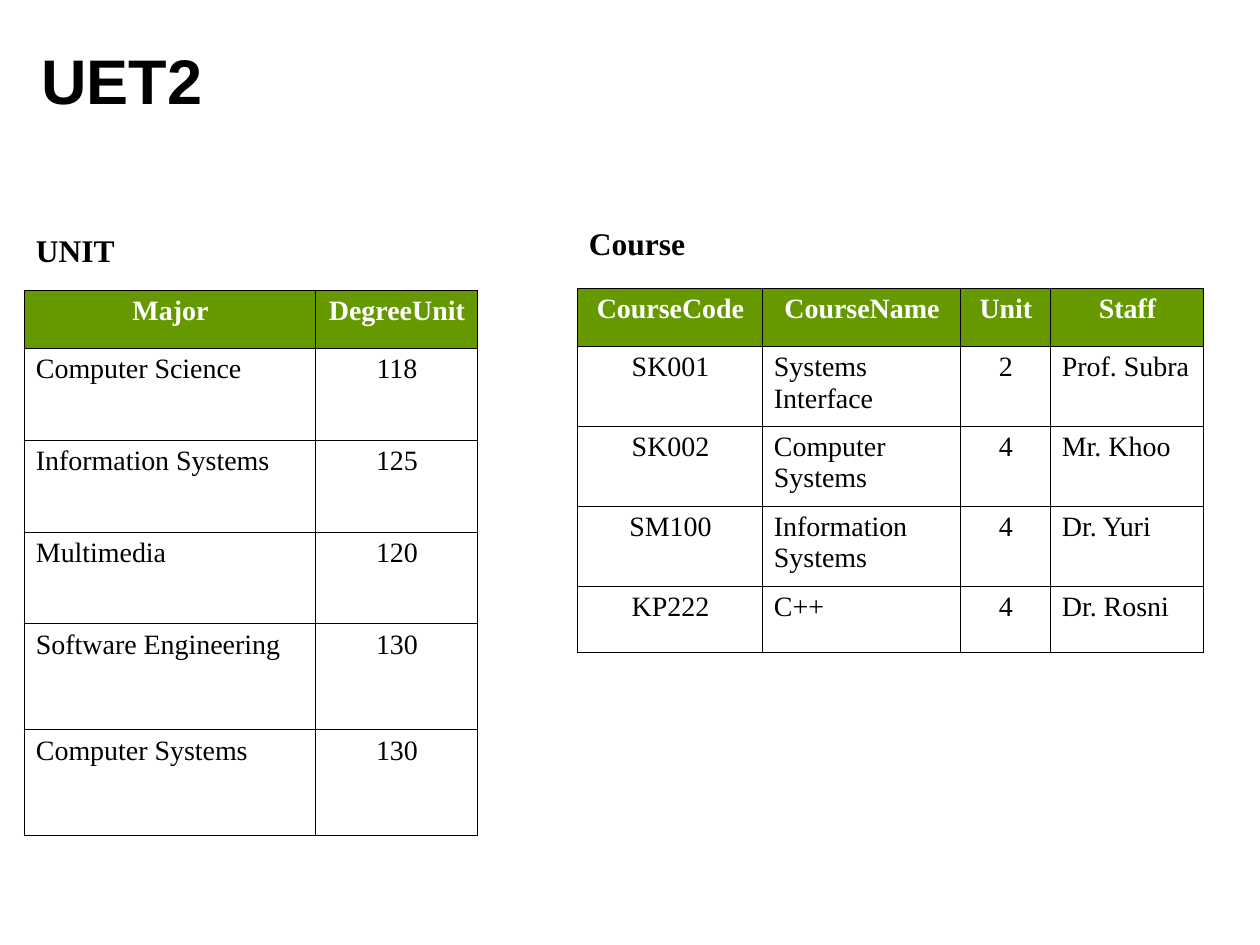
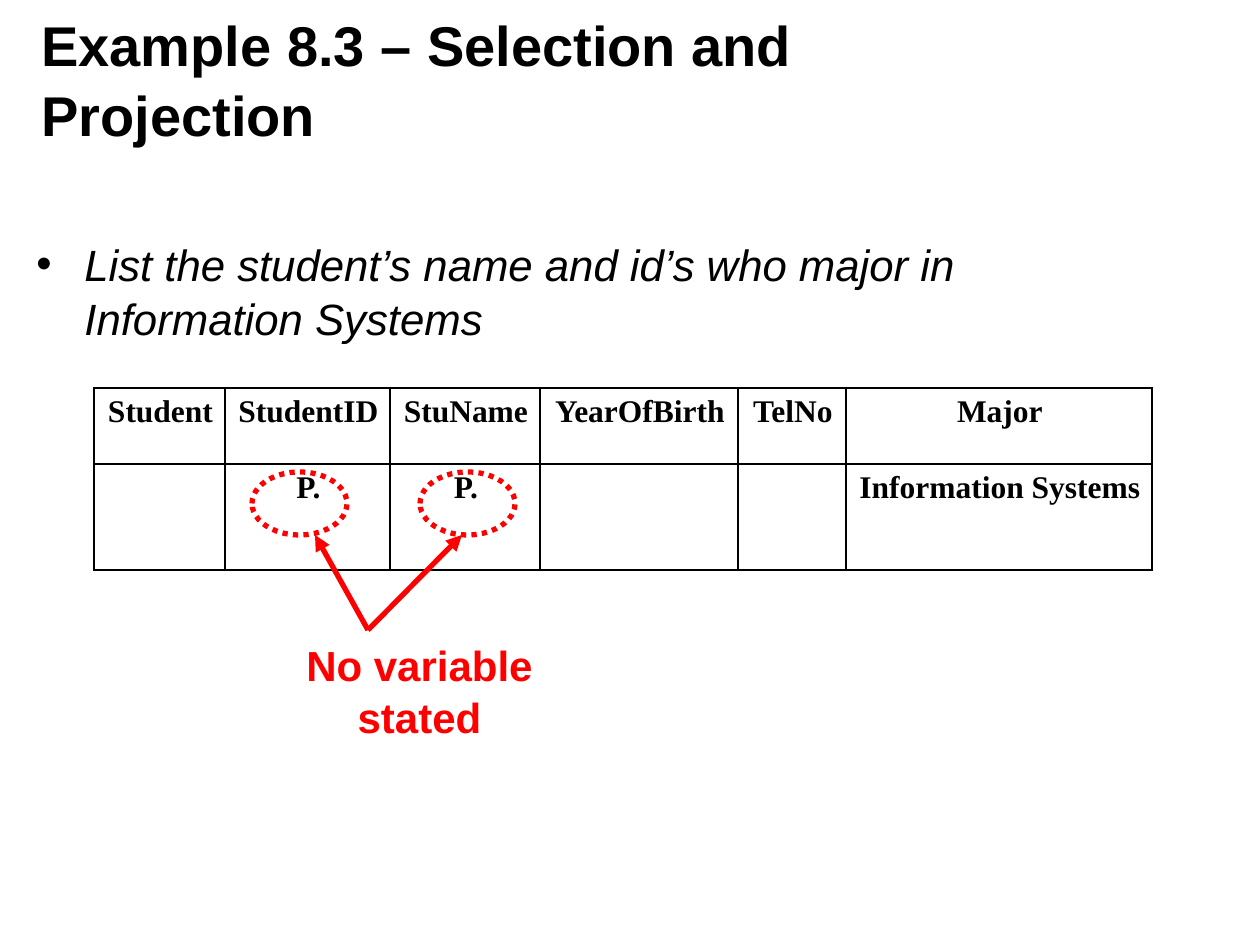
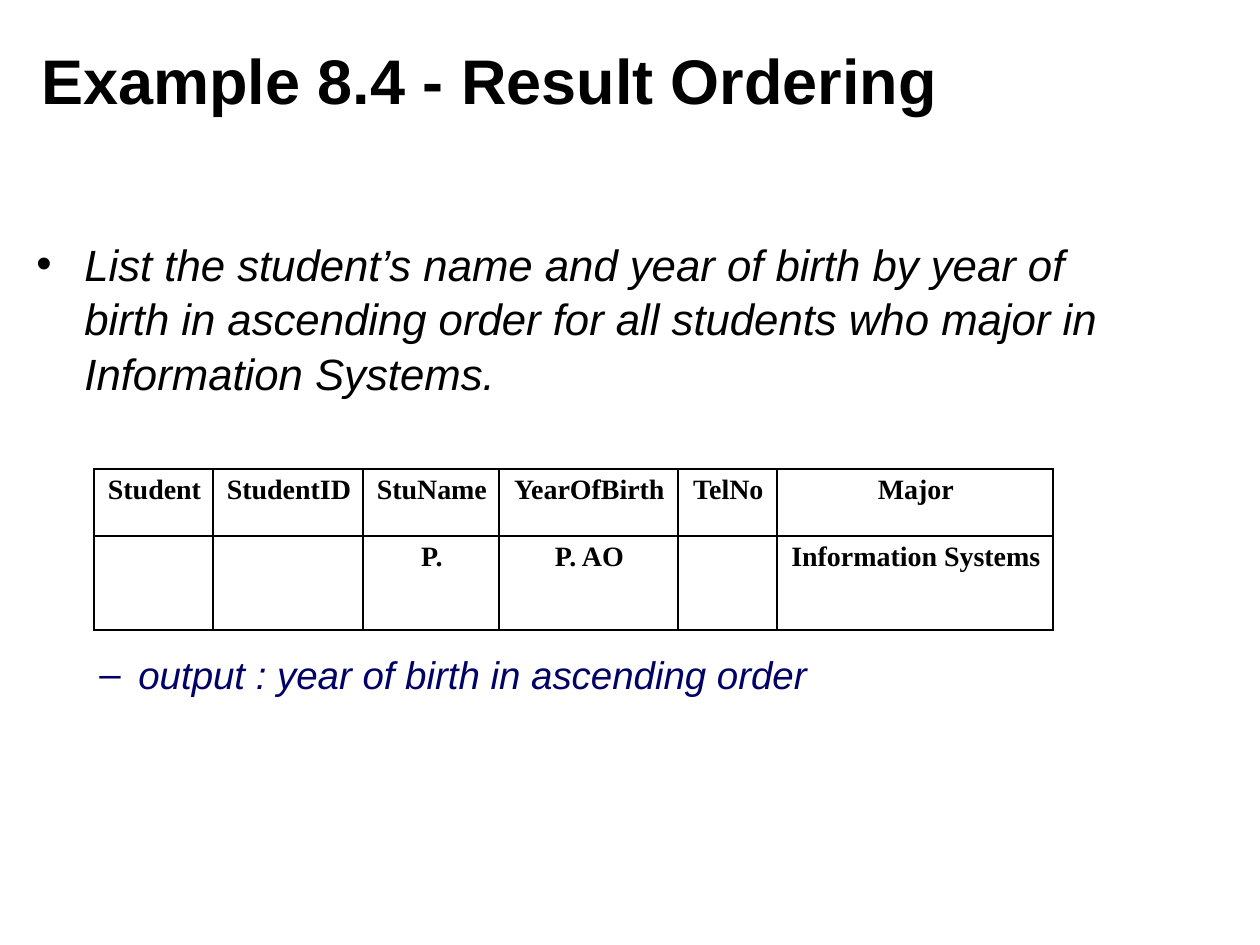
from lxml.etree import SubElement as sub
from pptx import Presentation
from pptx.dml.color import RGBColor as Rgb
from pptx.enum.dml import MSO_LINE
from pptx.enum.shapes import MSO_CONNECTOR, MSO_SHAPE
from pptx.enum.text import MSO_ANCHOR as Anchor, PP_ALIGN as Align
from pptx.oxml.ns import qn
from pptx.util import Pt

PX = 914400 / 126
INK = {"black": "000000", "white": "FFFFFF", "green": "669900",
       "red": "FF0000", "navy": "000066"}
SANS, SERIF = "Arial", "Times New Roman"
SIDES = {"l": "a:lnL", "r": "a:lnR", "t": "a:lnT", "b": "a:lnB"}
TITLE = (29, 19, 1012, 117)
FIELDS = ["Student", "StudentID", "StuName", "YearOfBirth", "TelNo", "Major"]


def px(*vals):
    return [round(val * PX) for val in vals]


def color(name):
    return Rgb.from_string(INK[name])


def style(para, size, ink="black", face=SANS, bold=False, italic=False):
    font = para.font
    font.name, font.size = face, Pt(size)
    font.bold, font.italic = bold, italic
    font.color.rgb = color(ink)


def write(slide, box, text, size, align=Align.LEFT, anchor=Anchor.TOP, **look):
    frame = slide.shapes.add_textbox(*px(*box)).text_frame
    frame.word_wrap = True
    frame.vertical_anchor = anchor
    para = frame.paragraphs[0]
    para.text = text
    para.alignment = align
    para.line_spacing = 1.04
    style(para, size, **look)
    return para


def title(slide, text, size=36):
    write(slide, TITLE, text, size, anchor=Anchor.MIDDLE, bold=True)


def bullet(slide, box, text, mark="•", size=25, left=48, hang=48, ink="black"):
    para = write(slide, box, text, size, ink=ink, italic=True)
    props = para._p.get_or_add_pPr()
    props.set("marL", str(round(left * PX)))
    props.set("indent", str(round(-hang * PX)))
    sub(sub(props, qn("a:buClr")), qn("a:srgbClr"), val=INK[ink])
    sub(props, qn("a:buFont"), typeface=SANS)
    sub(props, qn("a:buChar"), char=mark)


def border(cell, sides, width):
    props = cell._tc.get_or_add_tcPr()
    for side, tag in SIDES.items():
        line = sub(props, qn(tag), w=str(Pt(width)))
        if side in sides:
            sub(sub(line, qn("a:solidFill")), qn("a:srgbClr"), val=INK["black"])
        else:
            sub(line, qn("a:noFill"))


def fill(cell, text, size, align=Align.CENTER, ink="black", bold=True,
         back=None, sides="lrtb", width=0.45):
    cell.margin_left, cell.margin_right = px(12, 10)
    cell.margin_top, cell.margin_bottom = px(6, 6)
    border(cell, sides, width)
    if back:
        cell.fill.solid()
        cell.fill.fore_color.rgb = color(back)
    else:
        cell.fill.background()
    para = cell.text_frame.paragraphs[0]
    para.text = text
    para.alignment = align
    style(para, size, ink, SERIF, bold)


def grid(slide, left, top, cols, rows):
    box = px(left, top, sum(cols), sum(rows))
    table = slide.shapes.add_table(len(rows), len(cols), *box).table
    table.first_row = table.horz_banding = False
    for col, width in zip(table.columns, px(*cols)):
        col.width = width
    for row, height in zip(table.rows, px(*rows)):
        row.height = height
    return table


def relation(slide, left, top, cols, rows, name, heads, aligns, data):
    table = grid(slide, left, top, cols, rows)
    last = len(cols) - 1
    table.cell(0, 0).merge(table.cell(0, last))
    for c, head in enumerate(heads):
        fill(table.cell(0, c), "" if c else name, 18, Align.LEFT, sides="b")
        fill(table.cell(1, c), head, 16, ink="white", back="green")
        align = Align.CENTER if aligns[c] == "c" else Align.LEFT
        for r, record in enumerate(data, 2):
            fill(table.cell(r, c), record[c], 16, align, bold=False)


def query(slide, left, top, cols, rows, size, terms):
    table = grid(slide, left, top, cols, rows)
    for c, field in enumerate(FIELDS):
        for r, text in enumerate((field, terms.get(field, ""))):
            fill(table.cell(r, c), text, size, width=0.96)


def ring(slide, *box):
    shape = slide.shapes.add_shape(MSO_SHAPE.OVAL, *px(*box))
    shape.shadow.inherit = False
    shape.fill.background()
    shape.line.color.rgb = color("red")
    shape.line.width = Pt(3)
    shape.line.dash_style = MSO_LINE.ROUND_DOT


def arrow(slide, tip, tail):
    link = slide.shapes.add_connector(MSO_CONNECTOR.STRAIGHT, *px(*tip, *tail))
    link.line.color.rgb = color("red")
    link.line.width = Pt(3)
    sub(link.line._get_or_add_ln(), qn("a:headEnd"), type="triangle")
    sub(link._element.spPr, qn("a:effectLst"))


def callout(slide, left, top):
    for x, tip in ((0, 63), (168, 210)):
        ring(slide, left + x, top, 95, 63)
        arrow(slide, (left + tip, top + 63), (left + 116, top + 158))
    write(slide, (left + 10, top + 159, 315, 113), "No variable stated", 24,
          Align.CENTER, ink="red", bold=True)


def tables(slide):
    title(slide, "UET2")
    relation(slide, 24, 228, [291, 162], [62, 58, 92, 92, 92, 106, 106],
             "UNIT", ["Major", "DegreeUnit"], "lc",
             [("Computer Science", "118"), ("Information Systems", "125"),
              ("Multimedia", "120"), ("Software Engineering", "130"),
              ("Computer Systems", "130")])
    relation(slide, 577, 221, [185, 198, 90, 153], [67, 58, 80, 80, 80, 67],
             "Course", ["CourseCode", "CourseName", "Unit", "Staff"], "clcl",
             [("SK001", "Systems Interface", "2", "Prof. Subra"),
              ("SK002", "Computer Systems", "4", "Mr. Khoo"),
              ("SM100", "Information Systems", "4", "Dr. Yuri"),
              ("KP222", "C++", "4", "Dr. Rosni")])


def select(slide):
    title(slide, "Example 8.3 – Selection and Projection", 32)
    bullet(slide, (24, 229, 1152, 130),
           "List the student’s name and id’s who major in Information Systems")
    query(slide, 94, 388, [131, 165, 150, 198, 108, 306], [76, 106], 18,
          {"StudentID": "P.", "StuName": "P.", "Major": "Information Systems"})
    callout(slide, 252, 472)


def order(slide):
    title(slide, "Example 8.4 - Result Ordering")
    bullet(slide, (24, 229, 1142, 180),
           "List the student’s name and year of birth by year of birth in "
           "ascending order for all students who major in Information Systems.")
    query(slide, 94, 469, [119, 150, 136, 179, 99, 276], [67, 94], 16,
          {"StuName": "P.", "YearOfBirth": "P. AO",
           "Major": "Information Systems"})
    bullet(slide, (24, 643, 1142, 60),
           "output : year of birth in ascending order", "–", 22, 102, 39, "navy")


def main():
    deck = Presentation()
    deck.slide_width, deck.slide_height = px(1260, 945)
    for build in (tables, select, order):
        build(deck.slides.add_slide(deck.slide_layouts[6]))
    deck.save("out.pptx")


if __name__ == "__main__":
    main()
